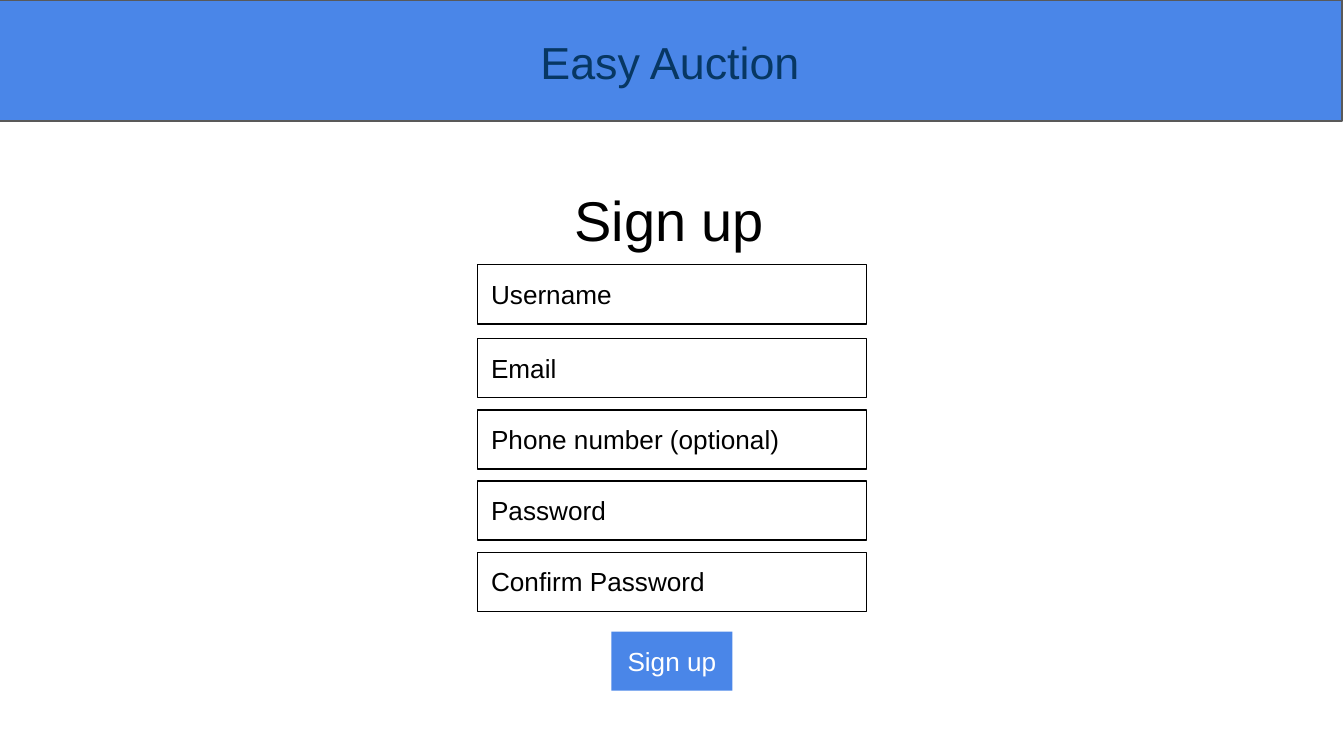
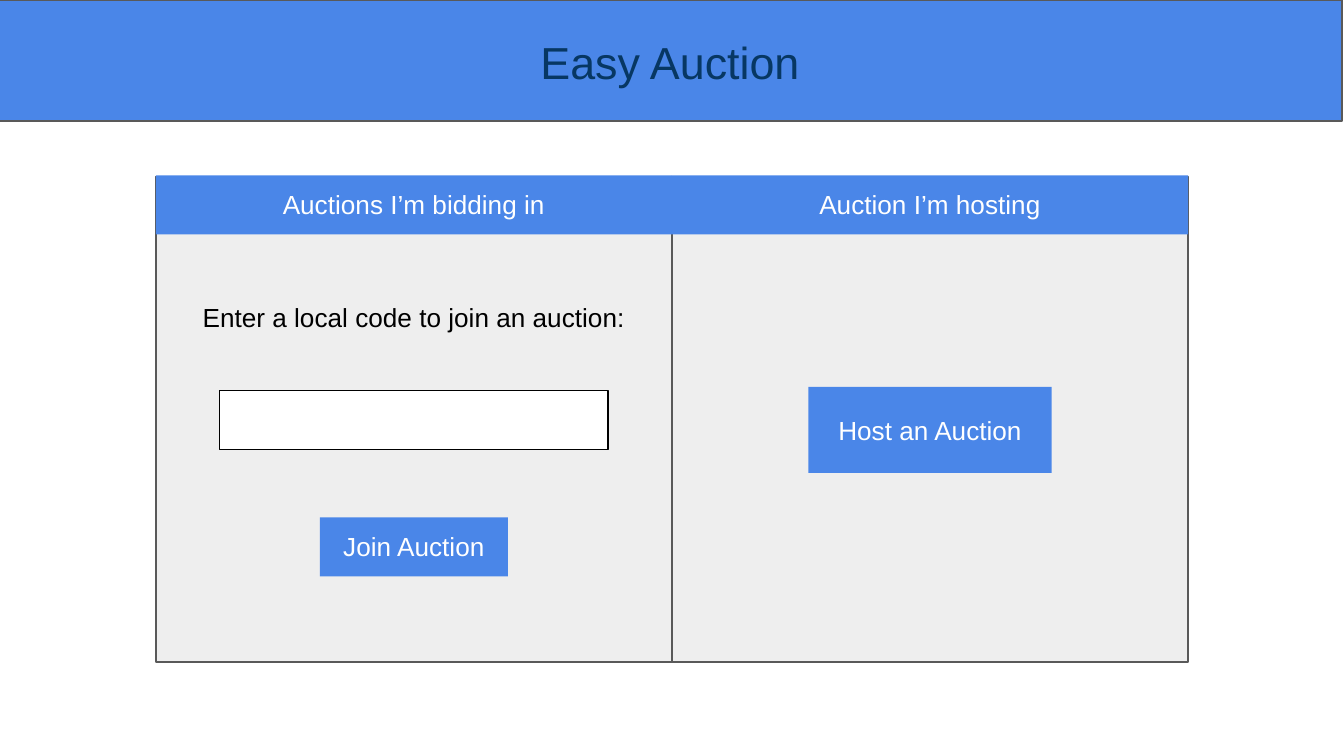
from dataclasses import dataclass

from pptx import Presentation
from pptx.dml.color import RGBColor
from pptx.enum.shapes import MSO_SHAPE
from pptx.enum.text import MSO_ANCHOR, PP_ALIGN
from pptx.util import Emu, Pt

RECTANGLE = MSO_SHAPE.RECTANGLE
LEFT, CENTER = PP_ALIGN.LEFT, PP_ALIGN.CENTER
TOP, MIDDLE = MSO_ANCHOR.TOP, MSO_ANCHOR.MIDDLE

EMU_PER_PX = 4572  # 200 px to the inch
SLIDE_WIDTH, SLIDE_HEIGHT = 2000, 1125
INSET = 20
CONTROL_HEIGHT = 88
FIELD_WIDTH = 578


@dataclass(frozen=True)
class Theme:
    font: str = "Arial"
    blue: str = "4A86E8"
    navy: str = "073763"
    black: str = "000000"
    white: str = "FFFFFF"
    panel: str = "EEEEEE"
    border: str = "595959"
    line_width: float = 0.75
    brand_size: int = 24
    heading_size: int = 30
    body_size: int = 14


THEME = Theme()


def px(length):
    return Emu(length * EMU_PER_PX)


def box(left, top, width, height):
    return [px(length) for length in (left, top, width, height)]


def write_text(shape, text, size, color, alignment=CENTER, anchor=TOP):
    frame = shape.text_frame
    frame.word_wrap = True
    frame.vertical_anchor = anchor
    frame.margin_left = frame.margin_right = px(INSET)
    frame.margin_top = frame.margin_bottom = px(INSET)
    paragraph = frame.paragraphs[0]
    paragraph.alignment = alignment
    run = paragraph.add_run()
    run.text = text
    run.font.name = THEME.font
    run.font.size = Pt(size)
    run.font.color.rgb = RGBColor.from_string(color)


def add_rectangle(slide, bounds, fill=None, line=None):
    shape = slide.shapes.add_shape(RECTANGLE, *box(*bounds))
    shape.shadow.inherit = False
    if fill:
        shape.fill.solid()
        shape.fill.fore_color.rgb = RGBColor.from_string(fill)
    else:
        shape.fill.background()
    if line:
        shape.line.color.rgb = RGBColor.from_string(line)
        shape.line.width = Pt(THEME.line_width)
    else:
        shape.line.fill.background()
    return shape


def add_label(slide, bounds, text, size=THEME.body_size, color=THEME.black):
    write_text(slide.shapes.add_textbox(*box(*bounds)), text, size, color)


def add_field(slide, left, top, prompt="", fill=None):
    bounds = (left, top, FIELD_WIDTH, CONTROL_HEIGHT)
    field = add_rectangle(slide, bounds, fill, THEME.black)
    if prompt:
        write_text(field, prompt, THEME.body_size, THEME.black, LEFT)


def add_blue_block(slide, bounds, text, anchor=TOP):
    """Add a borderless blue block with white text: a button or a panel header."""
    block = add_rectangle(slide, bounds, THEME.blue)
    write_text(block, text, THEME.body_size, THEME.white, anchor=anchor)


def add_page(presentation):
    """Add a blank slide carrying the shared brand band."""
    slide = presentation.slides.add_slide(presentation.slide_layouts[6])
    add_rectangle(slide, (-3, 0, SLIDE_WIDTH, 180), THEME.blue, THEME.border)
    add_label(slide, (647, 32, 700, 114), "Easy Auction", THEME.brand_size, THEME.navy)
    return slide


def build_sign_up(presentation):
    slide = add_page(presentation)
    add_label(slide, (582, 256, 828, 138), "Sign up", THEME.heading_size)
    field_left = (SLIDE_WIDTH - FIELD_WIDTH) // 2
    prompts = ["Email", "Phone number (optional)", "Password", "Confirm Password"]
    for index, prompt in enumerate(prompts):
        add_field(slide, field_left, 504 + 106 * index, prompt)
    add_blue_block(slide, (910, 940, 180, CONTROL_HEIGHT), "Sign up")
    add_field(slide, field_left, 394, "Username")


def build_auctions(presentation):
    slide = add_page(presentation)
    panel_width = 768
    middle = SLIDE_WIDTH // 2
    panels = [
        (middle - panel_width, "Auctions I’m bidding in"),
        (middle, "Auction I’m hosting"),
    ]
    for left, _ in panels:
        add_rectangle(slide, (left, 263, panel_width, 722), THEME.panel, THEME.border)
    for left, title in panels:
        add_blue_block(slide, (left, 261, panel_width, CONTROL_HEIGHT), title)

    add_field(slide, 327, 581, fill=THEME.white)
    add_blue_block(slide, (476, 770, 280, CONTROL_HEIGHT), "Join Auction")
    add_label(slide, (259, 428, 714, 146), "Enter a local code to join an auction:")
    add_blue_block(slide, (1203, 576, 362, 128), "Host an Auction", MIDDLE)


def main():
    presentation = Presentation()
    presentation.slide_width = px(SLIDE_WIDTH)
    presentation.slide_height = px(SLIDE_HEIGHT)
    build_sign_up(presentation)
    build_auctions(presentation)
    presentation.save("out.pptx")


if __name__ == "__main__":
    main()
